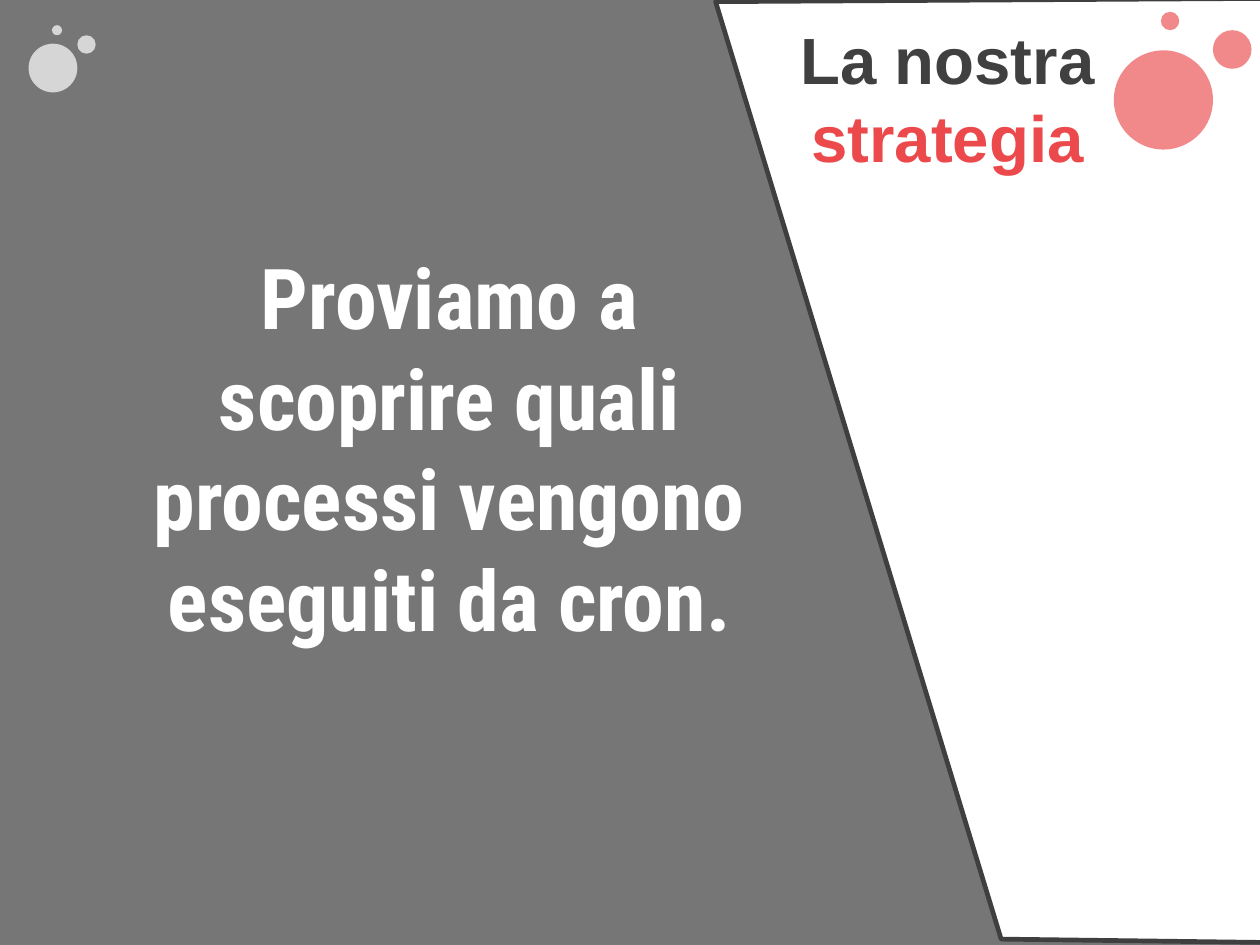
from pptx import Presentation
from pptx.dml.color import RGBColor
from pptx.enum.shapes import MSO_SHAPE as SHAPE
from pptx.enum.text import MSO_ANCHOR as ANCHOR, PP_ALIGN as ALIGN
from pptx.oxml.ns import qn
from pptx.util import Inches, Pt
from lxml.etree import SubElement

WIDTH = 7.5
HEIGHT = WIDTH * 3 / 4
WHITE = RGBColor(0xFF, 0xFF, 0xFF)
CHARCOAL = RGBColor(0x3C, 0x3C, 0x3C)
OUTLINE = RGBColor(0x3F, 0x3F, 0x3F)
DARK_TEXT = RGBColor(0x40, 0x40, 0x40)
RED = RGBColor(0xEB, 0x49, 0x4B)


def add_tinted(slide, kind, box, color, opacity):
    """Add a borderless shape with a translucent fill."""
    sp = slide.shapes.add_shape(kind, *map(Inches, box))
    sp.shadow.inherit = False
    sp.line.fill.background()
    sp.fill.solid()
    sp.fill.fore_color.rgb = color
    srgb = sp.fill._xPr.find(qn("a:solidFill"))[0]
    SubElement(srgb, qn("a:alpha"), val=str(opacity * 1000))


def add_bubbles(slide, circles, color, opacity):
    """Add circles given as (left, top, diameter)."""
    for left, top, size in circles:
        add_tinted(slide, SHAPE.OVAL, (left, top, size, size), color, opacity)


def add_panel(slide, corners):
    """Add the white slanted panel with its dark outline."""
    points = [(Inches(x), Inches(y)) for x, y in corners]
    builder = slide.shapes.build_freeform(*points[0], scale=1.0)
    builder.add_line_segments(points[1:], close=True)
    sp = builder.convert_to_shape()
    sp.shadow.inherit = False
    sp.fill.solid()
    sp.fill.fore_color.rgb = WHITE
    sp.line.color.rgb = OUTLINE
    sp.line.width = Pt(2)


def add_text(slide, box, lines, font, size):
    """Add centred bold text, one paragraph per (text, color)."""
    tf = slide.shapes.add_textbox(*map(Inches, box)).text_frame
    tf.word_wrap = True
    tf.vertical_anchor = ANCHOR.MIDDLE
    for i, (text, color) in enumerate(lines):
        p = tf.add_paragraph() if i else tf.paragraphs[0]
        p.alignment = ALIGN.CENTER
        r = p.add_run()
        r.text = text
        r.font.name = font
        r.font.size = Pt(size)
        r.font.bold = True
        r.font.color.rgb = color


def main():
    prs = Presentation()
    prs.slide_width, prs.slide_height = Inches(WIDTH), Inches(HEIGHT)
    slide = prs.slides.add_slide(prs.slide_layouts[6])

    # Grey backdrop and main message
    add_tinted(slide, SHAPE.RECTANGLE, (0, 0, WIDTH, HEIGHT), CHARCOAL, 70)
    message = "Proviamo a scoprire quali processi vengono eseguiti da cron."
    add_text(slide, (0.68, 1.4, 3.99, 2.52), [(message, WHITE)],
             "Roboto Condensed", 36)
    add_bubbles(slide, [(0.17, 0.26, 0.29), (0.46, 0.21, 0.11),
                        (0.31, 0.15, 0.06)], WHITE, 70)

    # Slanted panel with the title
    add_panel(slide, [(5.96, 5.59), (4.26, 0.01), (7.59, -0.01), (7.54, 5.61)])
    add_bubbles(slide, [(6.63, 0.3, 0.59), (7.22, 0.18, 0.23),
                        (6.91, 0.07, 0.11)], RED, 65)
    add_text(slide, (4.65, 0.06, 1.98, 1.04),
             [("La nostra", DARK_TEXT), ("strategia", RED)], "Arial", 28)

    prs.save("out.pptx")


if __name__ == "__main__":
    main()
